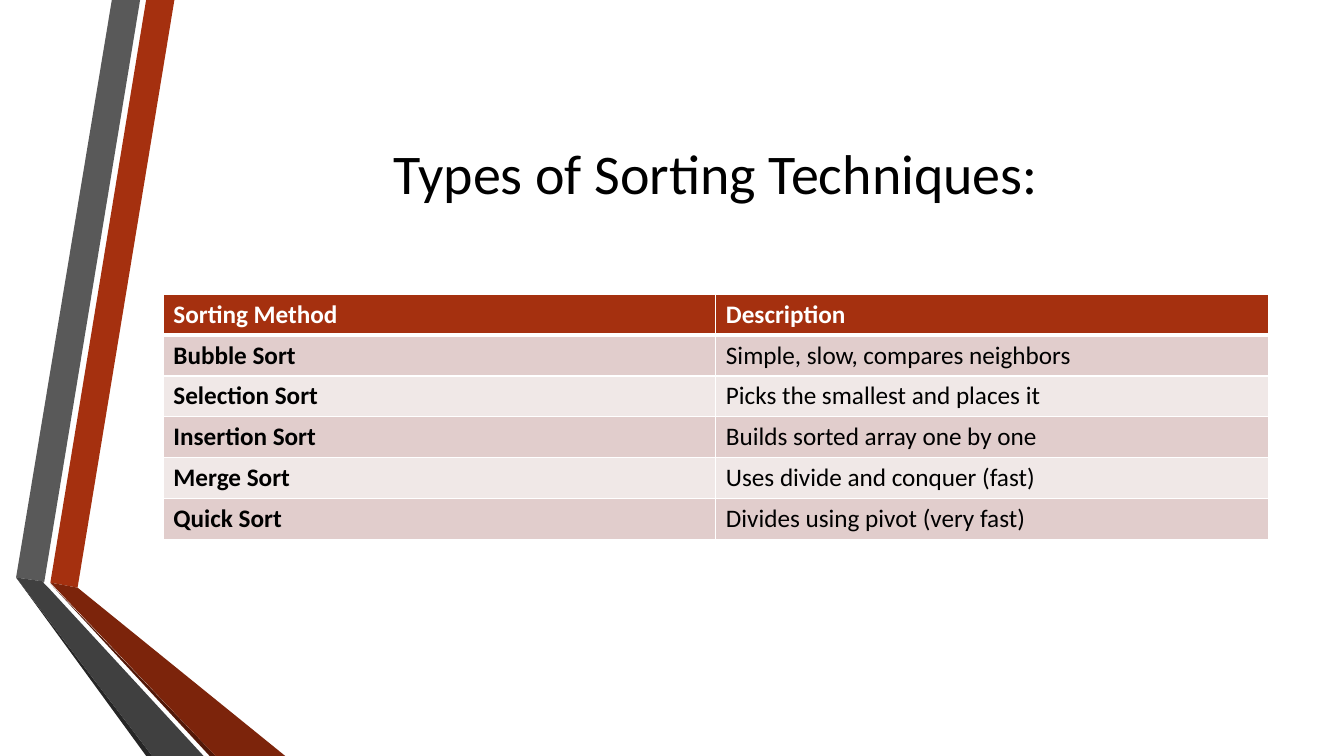
from lxml.etree import SubElement
from pptx import Presentation
from pptx.dml.color import RGBColor
from pptx.enum.text import MSO_ANCHOR, PP_ALIGN
from pptx.oxml.ns import qn
from pptx.util import Inches, Pt

WHITE = RGBColor(0xFF, 0xFF, 0xFF)
BLACK = RGBColor(0, 0, 0)
RUST = RGBColor(0xA5, 0x30, 0x0F)
BROWN = RGBColor(0x7C, 0x24, 0x0B)
DARK = RGBColor(0x52, 0x18, 0x08)
GRAY = RGBColor(0x59, 0x59, 0x59)
SLATE = RGBColor(0x40, 0x40, 0x40)
COAL = RGBColor(0x26, 0x26, 0x26)
ROSE = RGBColor(0xE1, 0xCD, 0xCC)
PALE = RGBColor(0xF0, 0xE8, 0xE7)

BANDS = [
    (RUST, [(0.5, 5.78), (0.77, 5.83), (1.73, 0), (1.45, 0)]),
    (GRAY, [(1.39, 0), (1.11, 0), (0.16, 5.73), (0.44, 5.77)]),
    (COAL, [(0.16, 5.73), (1.45, 7.5), (1.51, 7.5)]),
    (DARK, [(0.5, 5.79), (2.08, 7.5), (2.14, 7.5)]),
    (BROWN, [(0.5, 5.78), (2.14, 7.5), (2.83, 7.5), (0.77, 5.83)]),
    (SLATE, [(0.16, 5.73), (1.51, 7.5), (2.02, 7.5), (0.48, 5.83),
             (0.43, 5.78), (0.44, 5.77)]),
]

ROWS = [
    ("Sorting Method", "Description"),
    ("Bubble Sort", "Simple, slow, compares neighbors"),
    ("Selection Sort", "Picks the smallest and places it"),
    ("Insertion Sort", "Builds sorted array one by one"),
    ("Merge Sort", "Uses divide and conquer (fast)"),
    ("Quick Sort", "Divides using pivot (very fast)"),
]


def put_text(frame, text, size=18, color=BLACK, bold=False, align=PP_ALIGN.LEFT):
    frame.word_wrap = True
    para = frame.paragraphs[0]
    para.alignment = align
    run = para.add_run()
    run.text = text
    font = run.font
    font.name = "Calibri"
    font.size = Pt(size)
    font.bold = bold
    font.color.rgb = color


def add_band(slide, color, points):
    spots = [(Inches(x), Inches(y)) for x, y in points]
    path = slide.shapes.build_freeform(*spots[0])
    path.add_line_segments(spots[1:], close=True)
    band = path.convert_to_shape()
    band.shadow.inherit = False
    band.fill.solid()
    band.fill.fore_color.rgb = color
    band.line.fill.background()


def add_title(slide, text):
    box = slide.shapes.add_textbox(Inches(1.62), Inches(0.75), Inches(10.96), Inches(1.92))
    box.text_frame.vertical_anchor = MSO_ANCHOR.MIDDLE
    put_text(box.text_frame, text, size=40, align=PP_ALIGN.CENTER)


def set_edge(cell, side, width):
    line = SubElement(cell._tc.get_or_add_tcPr(), qn("a:" + side), w=str(Pt(width)))
    fill = SubElement(line, qn("a:solidFill"))
    SubElement(fill, qn("a:srgbClr"), val=str(WHITE))


def add_grid(slide, rows):
    frame = slide.shapes.add_table(len(rows), 2, Inches(1.62), Inches(2.92),
                                   Inches(10.96), Inches(2.43))
    for r, row in enumerate(rows):
        head = r == 0
        for c, text in enumerate(row):
            cell = frame.table.cell(r, c)
            cell.vertical_anchor = MSO_ANCHOR.MIDDLE
            for side in ("lnL", "lnR", "lnT", "lnB"):
                thick = (head and side == "lnB") or (r == 1 and side == "lnT")
                set_edge(cell, side, 3 if thick else 1)
            cell.fill.solid()
            cell.fill.fore_color.rgb = RUST if head else (PALE, ROSE)[r % 2]
            put_text(cell.text_frame, text, color=WHITE if head else BLACK,
                     bold=head or c == 0)


def main():
    deck = Presentation()
    deck.slide_width = Inches(13.33)
    deck.slide_height = Inches(7.5)
    slide = deck.slides.add_slide(deck.slide_layouts[6])
    for color, points in BANDS:
        add_band(slide, color, points)
    add_title(slide, "Types of Sorting Techniques:")
    add_grid(slide, ROWS)
    deck.save("out.pptx")


if __name__ == "__main__":
    main()
